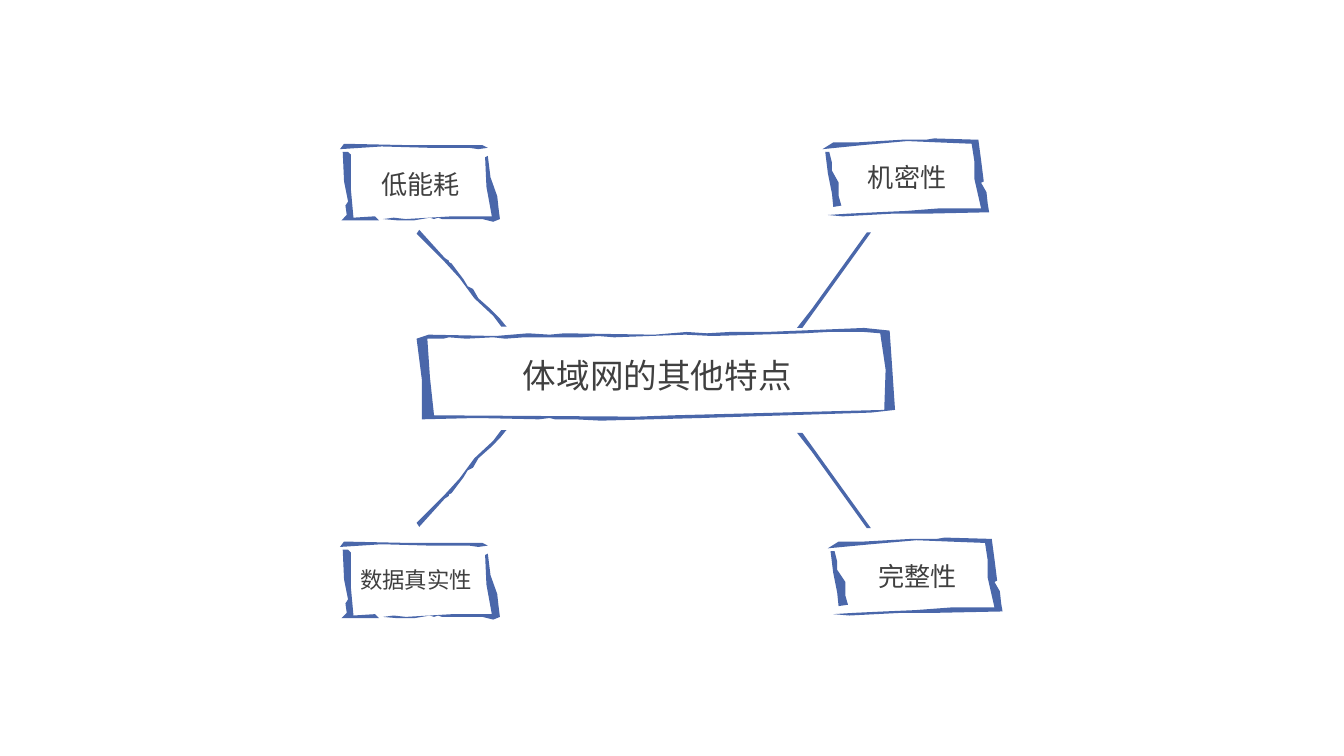
from pptx import Presentation
from pptx.dml.color import RGBColor
from pptx.enum.text import MSO_AUTO_SIZE, PP_ALIGN
from pptx.oxml.ns import qn
from pptx.util import Pt
from lxml.etree import SubElement

INK = RGBColor(0x4A, 0x67, 0xAA)
TEXT = RGBColor(0x40, 0x40, 0x40)
FONT = "Noto Sans CJK SC"
GRID = Pt(0.72)  # step of the outline coordinates below

# Brush strokes of the corner frames, relative to the frame's top left
LEFT_FRAME = [
    [(98, 2), (82, 2), (51, 2), (5, 1), (2, 5), (33, 3), (68, 4), (98, 4),
     (105, 5), (112, 4), (108, 2)],
    [(12, 56), (10, 34), (10, 9), (8, 7), (4, 7), (5, 29), (8, 44), (6, 47),
     (7, 54), (3, 58), (17, 58), (31, 58), (28, 55)],
    [(119, 40), (114, 26), (112, 10), (110, 11), (111, 33), (115, 55),
     (85, 55), (51, 57), (42, 56), (34, 57), (45, 58), (57, 58), (69, 56),
     (72, 57), (75, 56), (78, 57), (94, 57), (108, 57), (116, 59), (121, 57),
     (120, 49)],
]
RIGHT_FRAME = [
    [(118, 34), (120, 33), (118, 17), (116, 2), (83, 1), (77, 2), (59, 2),
     (25, 4), (8, 4), (0, 9), (30, 6), (63, 3), (87, 4), (111, 5), (113, 18),
     (113, 31), (118, 53), (88, 53), (62, 55), (40, 56), (19, 57), (4, 58),
     (15, 59), (52, 57), (77, 57), (124, 56), (123, 50), (122, 41)],
    [(7, 25), (7, 19), (5, 11), (2, 11), (4, 27), (7, 42), (8, 52), (14, 51),
     (12, 44), (12, 34)],
]

# Centre frame: outer and inner edge, in slide coordinates
CENTRE_FRAME = [
    [(643, 244), (570, 247), (543, 247), (526, 248), (511, 247), (487, 249),
     (420, 248), (409, 249), (393, 248), (369, 250), (319, 249), (310, 252),
     (314, 283), (314, 312), (355, 311), (401, 312), (409, 311), (413, 312),
     (428, 312), (447, 313), (522, 311), (648, 307), (666, 305), (664, 275),
     (662, 246)],
    [(658, 305), (501, 309), (474, 310), (323, 309), (320, 281), (318, 252),
     (330, 252), (334, 251), (347, 252), (367, 251), (376, 252), (390, 251),
     (433, 251), (445, 250), (457, 251), (510, 249), (530, 250), (598, 248),
     (616, 247), (643, 247), (655, 248), (659, 275)],
]

# Upper spokes; the lower ones mirror them
LEFT_SPOKE = [
    (376, 242), (372, 237), (365, 230), (356, 222), (352, 215), (348, 213),
    (345, 208), (336, 196), (334, 195), (334, 194), (331, 192), (312, 171),
    (310, 174), (319, 183), (331, 195), (342, 207), (353, 222), (367, 235),
    (373, 243), (377, 243)]
RIGHT_SPOKE = [(645, 173), (604, 230), (593, 244), (597, 244), (648, 173)]

# text, left, top, width, height, size, alignment
CENTRE_LABEL = ("体域网的其他特点", 214.6, 187.2, 275, 27.4, 18, PP_ALIGN.CENTER)
CORNER_LABELS = [
    ("机密性", 459.4, 83.5, 53.3, 22.3, 14, PP_ALIGN.CENTER),
    ("低能耗", 198.7, 87.1, 53.3, 22.3, 14, PP_ALIGN.CENTER),
    ("完整性", 464.4, 297.4, 53.3, 22.3, 14, PP_ALIGN.RIGHT),
    ("数据真实性", 187.9, 300.2, 71.3, 20.2, 12, PP_ALIGN.LEFT),
]


def add_outline(s, contours):
    """Add one filled freeform; a second contour cuts a hole."""
    first, *rest = contours
    builder = s.shapes.build_freeform(*first[0], scale=GRID)
    builder.add_line_segments(first[1:])
    for contour in rest:
        builder.move_to(*contour[0])
        builder.add_line_segments(contour[1:])
    sp = builder.convert_to_shape()
    sp.shadow.inherit = False
    sp.fill.solid()
    sp.fill.fore_color.rgb = INK
    sp.line.fill.background()


def add_frame(s, strokes, left, top, stretch=1):
    for stroke in strokes:
        add_outline(s, [[(left + x * stretch, top + y) for x, y in stroke]])


def add_spoke_pair(s, spoke, mirror):
    """Add a spoke and its reflection, where upper y + lower y = mirror."""
    add_outline(s, [spoke])
    add_outline(s, [[(x, mirror - y) for x, y in spoke]])


def add_label(s, text, left, top, width, height, size, align, wrap=False):
    sp = s.shapes.add_textbox(Pt(left), Pt(top), Pt(width), Pt(height))
    tf = sp.text_frame
    tf.word_wrap = wrap
    tf.auto_size = MSO_AUTO_SIZE.SHAPE_TO_FIT_TEXT
    tf.margin_left = tf.margin_right = Pt(5)
    tf.margin_top = tf.margin_bottom = Pt(2.9)
    p = tf.paragraphs[0]
    p.alignment = align
    r = p.add_run()
    r.text = text
    r.font.size = Pt(size)
    r.font.name = FONT
    r.font.color.rgb = TEXT
    SubElement(r.font._element, qn("a:ea"), typeface=FONT)


def main():
    prs = Presentation()
    prs.slide_width, prs.slide_height = Pt(720), Pt(405)
    s = prs.slides.add_slide(prs.slide_layouts[6])

    add_frame(s, RIGHT_FRAME, 612, 102)
    add_frame(s, RIGHT_FRAME, 616, 399, stretch=1.05)
    for top in (106, 402):
        add_frame(s, LEFT_FRAME, 251, top)
    add_spoke_pair(s, LEFT_SPOKE, 563)
    add_spoke_pair(s, RIGHT_SPOKE, 566)
    add_outline(s, CENTRE_FRAME)

    add_label(s, *CENTRE_LABEL, wrap=True)
    for label in CORNER_LABELS:
        add_label(s, *label)

    prs.save("out.pptx")


if __name__ == "__main__":
    main()
